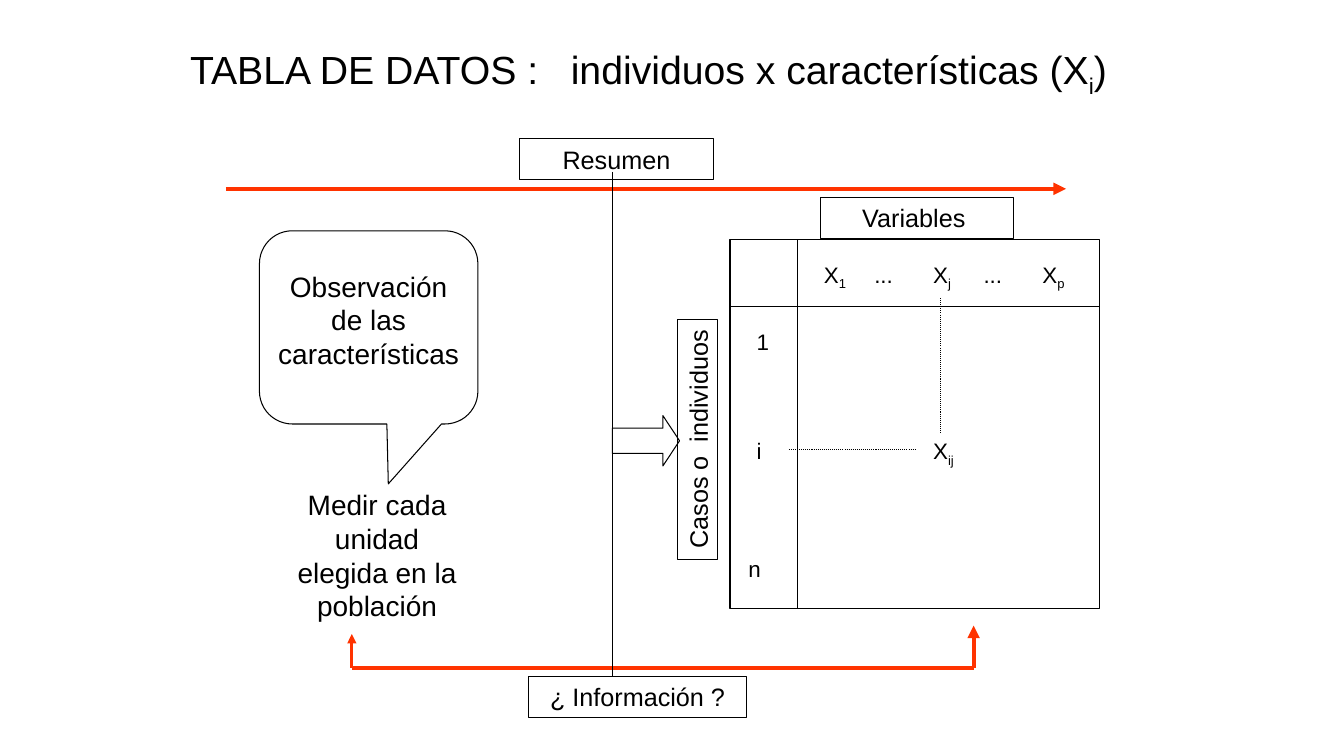
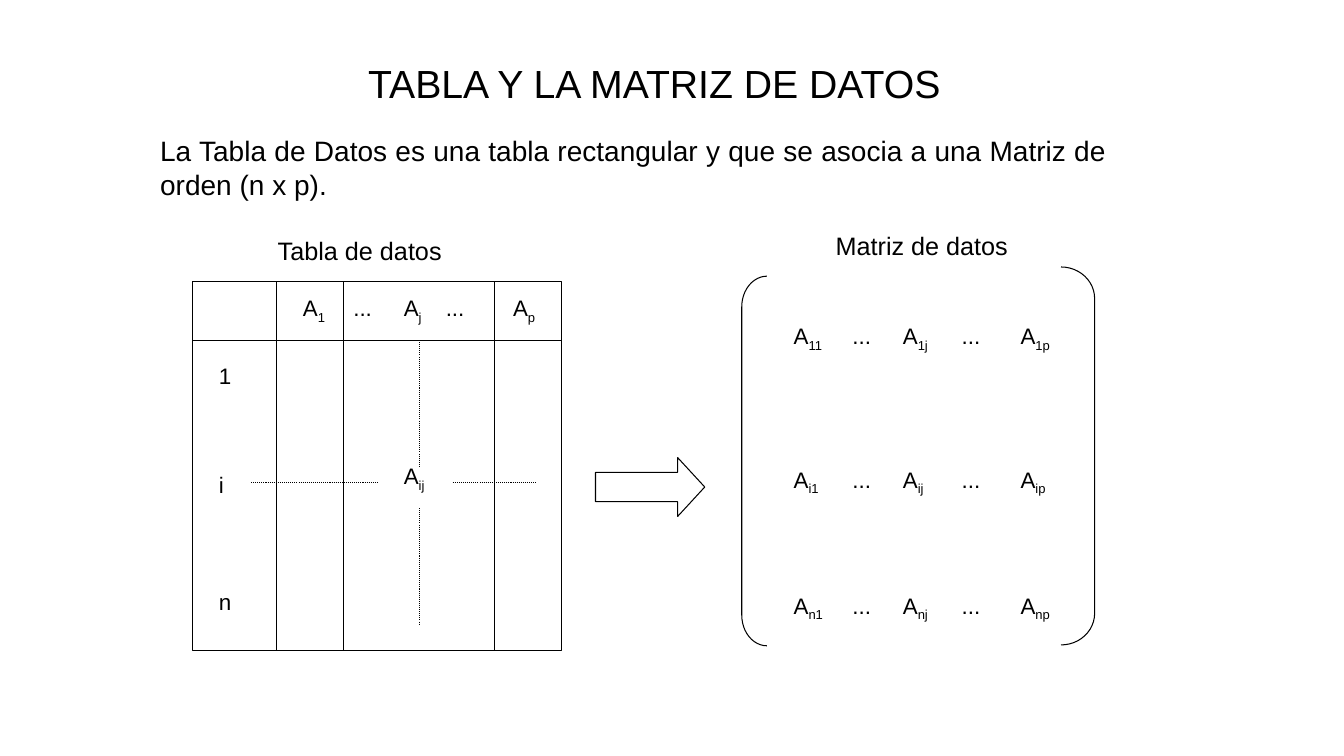
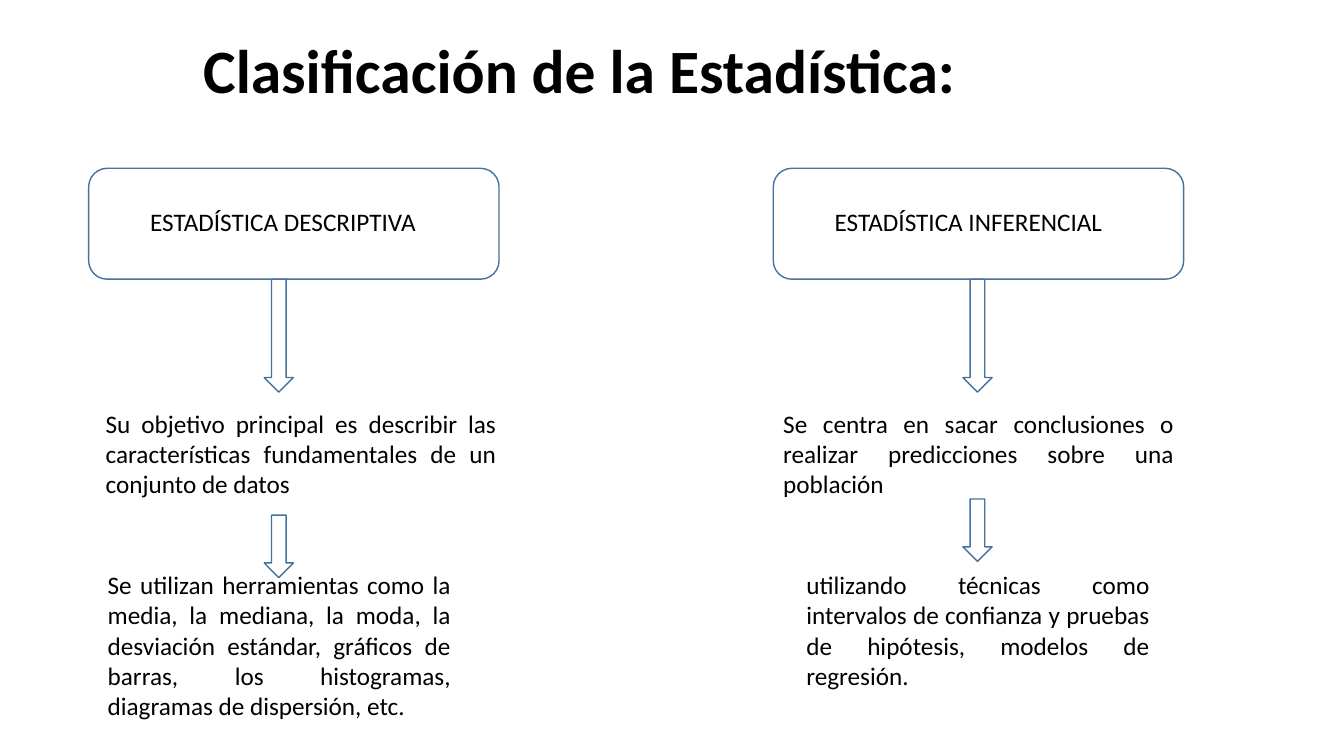
"""Build three slides on data tables and the branches of statistics."""
import dataclasses

import pptx
import pptx.dml.color
import pptx.enum.dml
import pptx.enum.shapes
import pptx.enum.text
import pptx.oxml
import pptx.oxml.ns
import pptx.util

Pt = pptx.util.Pt
Inch = pptx.util.Inches
Kind = pptx.enum.shapes.MSO_SHAPE
Align = pptx.enum.text.PP_ALIGN
Fit = pptx.enum.text.MSO_AUTO_SIZE
Mid = pptx.enum.text.MSO_ANCHOR.MIDDLE


@dataclasses.dataclass(frozen=True)
class Theme:
    """Hold the colours, fonts, type sizes and grid."""
    ink: str = "000000"
    red: str = "FF3300"
    blue: str = "43739E"
    sans: str = "Arial"
    soft: str = "Calibri"
    cell: int = 16
    label: int = 18
    body: int = 20
    head: int = 28
    big: int = 44
    thin: float = 0.75
    unit: float = 1 / 12
    left: float = -0.01
    top: float = 0.04


def put(item, **vals):
    """Set each given value on the item."""
    for name, val in vals.items():
        setattr(item, name, val)


def node(tag, **vals):
    """Return a drawing element with the given attributes."""
    item = pptx.oxml.parse_xml(f"<a:{tag} {pptx.oxml.ns.nsdecls('a')}/>")
    for name, val in vals.items():
        item.set(name, val)
    return item


class Deck:
    """Draw elements on the current slide by grid columns and rows."""

    def __init__(self, theme):
        """Start an empty wide deck."""
        self.theme = theme
        self.show = pptx.Presentation()
        put(self.show, slide_width=Inch(13.33), slide_height=Inch(7.5))

    def x(self, col):
        """Return the place of a column."""
        return Inch(self.theme.left + col * self.theme.unit)

    def y(self, row):
        """Return the place of a row."""
        return Inch(self.theme.top + row * self.theme.unit)

    def box(self, col, row, wide, high):
        """Return left, top, width and height of a grid area."""
        unit = self.theme.unit
        return self.x(col), self.y(row), Inch(wide * unit), Inch(high * unit)

    def page(self, title, area, **font):
        """Add a slide with its title; font overrides the title style."""
        self.slide = self.show.slides.add_slide(self.show.slide_layouts[5])
        head = self.slide.shapes.title
        names = ("left", "top", "width", "height")
        put(head, **dict(zip(names, self.box(*area))))
        self.words(head, title, Align.CENTER, Fit.NONE,
                   **{"size": self.theme.head, **font})
        head.text_frame.vertical_anchor = Mid
        return head

    def words(self, shape, text, align, fit, size, name=None, bold=False):
        """Fill a shape with text; parts between underscores are subscripts."""
        frame = shape.text_frame
        put(frame, word_wrap=True, auto_size=fit)
        para = frame.paragraphs[0]
        para.alignment = align
        for nth, part in enumerate(text.split("_")):
            if not part:
                continue
            run = para.add_run()
            run.text = part
            put(run.font, name=name or self.theme.sans, size=Pt(size), bold=bold)
            run.font.color.rgb = pptx.dml.color.RGBColor.from_string(self.theme.ink)
            if nth % 2:
                run.font._element.set("baseline", "-25000")

    def text(self, area, text, size=None, align=Align.LEFT, name=None):
        """Add a text box."""
        shape = self.slide.shapes.add_textbox(*self.box(*area))
        self.words(shape, text, align, Fit.SHAPE_TO_FIT_TEXT,
                   size or self.theme.label, name)

    def cells(self, cols, row, marks, wides=None):
        """Add a row of short table entries."""
        for col, mark, wide in zip(cols, marks, wides or [6] * len(cols)):
            self.text((col, row, wide, 4.44), mark, self.theme.cell)

    def stroke(self, line, color, width):
        """Style an outline."""
        line.color.rgb = pptx.dml.color.RGBColor.from_string(color)
        line.width = Pt(width)

    def shape(self, area, kind=Kind.RECTANGLE, adj=(), color=None, width=None):
        """Add an unfilled outlined shape."""
        shape = self.slide.shapes.add_shape(kind, *self.box(*area))
        shape.shadow.inherit = False
        shape.fill.background()
        self.stroke(shape.line, color or self.theme.ink, width or self.theme.thin)
        for nth, val in enumerate(adj):
            shape.adjustments[nth] = val
        return shape

    def label(self, area, text, turn=0):
        """Add a framed caption."""
        shape = self.shape(area)
        shape.rotation = turn
        self.words(shape, text, Align.CENTER, Fit.SHAPE_TO_FIT_TEXT, self.theme.label)

    def line(self, start, end, color=None, width=None, tip=False, dots=False):
        """Add a straight line, with an arrow tip or dots if asked."""
        link = self.slide.shapes.add_connector(
            pptx.enum.shapes.MSO_CONNECTOR.STRAIGHT,
            self.x(start[0]), self.y(start[1]), self.x(end[0]), self.y(end[1]))
        self.stroke(link.line, color or self.theme.ink, width or self.theme.thin)
        if dots:
            link.line.dash_style = pptx.enum.dml.MSO_LINE.ROUND_DOT
        if tip:
            link.line._get_or_add_ln().append(node("tailEnd", type="triangle"))
        link._element.spPr.append(node("effectLst"))


def survey(deck):
    """Draw the way from observation to the data table."""
    theme = deck.theme
    deck.page("TABLA DE DATOS :   individuos x características (X_i_)",
              (20, 2.64, 114.6, 11))
    deck.shape((31, 27, 26, 23), Kind.ROUNDED_RECTANGULAR_CALLOUT,
               (0.09, 0.81, 0.17))
    for area, text in (
            ((32, 31, 24, 13.2), "Observación de las características"),
            ((33, 57, 24, 17.2), "Medir cada unidad elegida en la población")):
        deck.text(area, text, theme.body, Align.CENTER)
    deck.label((62, 16, 23, 4.9), "Resumen")
    deck.label((63, 80, 26, 4.9), "¿ Información ?")
    deck.label((97.8, 23, 23, 4.9), "Variables ")
    deck.label((68.9, 49.44, 28.56, 4.8), "Casos o  individuos", 270)
    for start, end, width, tip in (
            ((27, 22), (127, 22), 3, True), ((42, 79), (116, 79), 3, False),
            ((42, 79), (42, 75), 2.25, True), ((116, 79), (116, 74), 3, True)):
        deck.line(start, end, theme.red, width, tip)
    deck.line((73, 20), (73, 80))
    deck.shape((73, 49, 8, 6), Kind.RIGHT_ARROW, (0.5, 0.33))
    deck.shape((87, 28, 44, 44))
    deck.line((95, 28), (95, 72))
    deck.line((87, 36), (131, 36))
    deck.cells((97, 103, 110, 116, 123), 30, ("X_1", "...", "X_j", "...", "X_p"))
    for col, row, mark in ((89, 38, "1"), (89, 51, "i"), (88, 65, "n"),
                           (110, 51, "X_ij")):
        deck.cells([col], row, [mark])
    deck.line((94, 53), (109, 53), dots=True)
    deck.line((112, 35), (112, 51), dots=True)


def matrix(deck):
    """Draw the data table beside its matrix."""
    theme = deck.theme
    deck.page("TABLA Y LA MATRIZ DE DATOS", (23, 3.84, 110, 11))
    deck.text((18, 14.88, 115, 9.24),
              "La Tabla de Datos es una tabla rectangular y que se asocia "
              "a una Matriz de orden (n x p).", theme.body, Align.JUSTIFY)
    deck.text((32, 27, 23, 4.8), "Tabla de datos")
    deck.text((98.4, 26.4, 23, 4.8), "Matriz de datos")
    deck.shape((23, 33, 44, 44))
    deck.line((23, 40), (67, 40))
    for col in (33, 41, 59):
        deck.line((col, 33), (col, 77))
    deck.cells((35, 41, 47, 52, 60), 34, ("A_1", "...", "A_j", "...", "A_p"))
    for row, mark in ((42, "1"), (55, "i"), (69, "n")):
        deck.cells([25], row, [mark])
    deck.cells([47], 54, ["A_ij"])
    for start, end in (((30, 57), (45, 57)), ((54, 57), (64, 57)),
                       ((50, 40), (50, 55)), ((50, 60), (50, 74))):
        deck.line(start, end, dots=True)
    deck.shape((71, 54, 13, 7), Kind.RIGHT_ARROW, (0.5, 0.46))
    deck.shape((88.4, 32.4, 3, 44), Kind.LEFT_BRACKET, [1.22])
    deck.shape((126.4, 31.3, 4, 45), Kind.RIGHT_BRACKET, [0.94])
    for row, mark in ((37.3, "1"), (54.4, "i"), (69.4, "n")):
        marks = (f"A_{mark}1", "...", f"A_{mark}j", "...", f"A_{mark}p")
        deck.cells((93.4, 100.4, 106.4, 113.4, 120.4), row, marks, (7, 6, 6, 6, 8))


def branch(deck):
    """Draw the two branches of statistics."""
    theme = deck.theme
    head = deck.page("Clasificación de la Estadística:", (0.12, -0.48, 138, 17.4),
                     size=theme.big, name=theme.soft, bold=True)
    head.text_frame.paragraphs[0].line_spacing = 0.9
    for col, goal, tool, stem, drop, name, aim, means in (
            (10.68, 11.52, 11.76, 31.56, 60.84, "ESTADÍSTICA DESCRIPTIVA",
             "Su objetivo principal es describir las características "
             "fundamentales de un conjunto de datos",
             "Se utilizan herramientas como la media, la mediana, la moda, "
             "la desviación estándar, gráficos de barras, los histogramas, "
             "diagramas de dispersión, etc."),
            (92.16, 92.16, 94.92, 114.72, 58.92, "ESTADÍSTICA INFERENCIAL",
             "Se centra en sacar conclusiones o realizar predicciones "
             "sobre una población ",
             "utilizando técnicas como intervalos de confianza y pruebas "
             "de hipótesis, modelos de regresión.")):
        deck.shape((col, 19.56, 48.84, 13.2), Kind.ROUNDED_RECTANGLE,
                   color=theme.blue, width=1)
        deck.text((col + 6.12, 23.52, 42.72, 4.8), name, name=theme.soft)
        for row, high in ((32.76, 13.44), (drop, 7.44)):
            deck.shape((stem, row, 3.48, high), Kind.DOWN_ARROW,
                       color=theme.blue, width=1)
        for area, text in (((goal, 47.52, 48.84, 12.12), aim),
                           ((tool, 66.72, 43.2, 19.44), means)):
            deck.text(area, text, align=Align.JUSTIFY, name=theme.soft)


deck = Deck(Theme())
for draw in (survey, matrix, branch):
    draw(deck)
deck.show.save("out.pptx")
